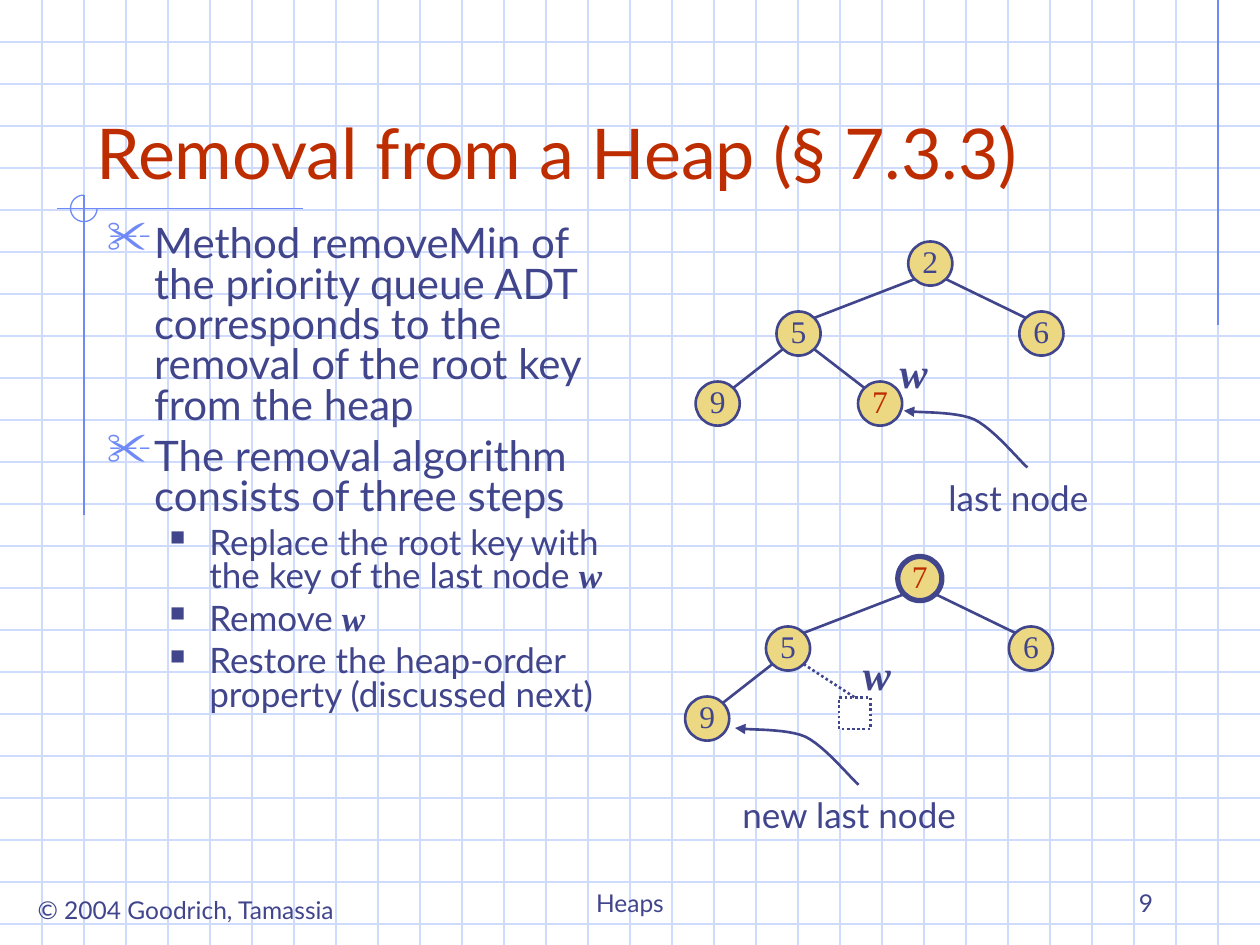
from dataclasses import dataclass

from lxml import etree
from pptx import Presentation
from pptx.dml.color import RGBColor
from pptx.enum.dml import MSO_LINE
from pptx.enum.shapes import MSO_CONNECTOR, MSO_SHAPE
from pptx.enum.text import MSO_ANCHOR, MSO_AUTO_SIZE, PP_ALIGN
from pptx.oxml.ns import qn
from pptx.util import Pt

STRAIGHT = MSO_CONNECTOR.STRAIGHT
LEFT, CENTER, RIGHT = PP_ALIGN.LEFT, PP_ALIGN.CENTER, PP_ALIGN.RIGHT
TOP, MIDDLE, BOTTOM = MSO_ANCHOR.TOP, MSO_ANCHOR.MIDDLE, MSO_ANCHOR.BOTTOM
DOTTED = MSO_LINE.ROUND_DOT
SLIDE_W, SLIDE_H, GRID_STEP = 720, 540, 24
NODE, LEAF_BOX = 25.2, 18
TOP_SIDE = 0


@dataclass(frozen=True)
class Theme:
    ink: str = "40458C"
    accent: str = "BE2D00"
    rule: str = "6F89F7"
    grid: str = "CFDBFD"
    node: str = "ECD882"
    paper: str = "FFFFFF"
    sans: str = "Lato"
    serif: str = "Times New Roman"
    title: int = 40
    body: int = 24
    step: int = 20
    key: int = 18
    footer: int = 14
    thin: float = 0.75
    line: float = 1.5
    bold_line: float = 3


THEME = Theme()


def rgb(code):
    return RGBColor.from_string(code)


def lengths(*values):
    return [Pt(value) for value in values]


def style_font(font, size, color=THEME.ink, name=THEME.sans, strong=False):
    font.size, font.name, font.color.rgb = Pt(size), name, rgb(color)
    if strong:
        font.bold = font.italic = True


def style_line(line, color=THEME.ink, width=THEME.line, dash=None):
    line.color.rgb, line.width = rgb(color), Pt(width)
    if dash:
        line.dash_style = dash


def add_line(shapes, start, end, color=THEME.ink, width=THEME.line, dash=None):
    line = shapes.add_connector(STRAIGHT, *lengths(*start, *end))
    style_line(line.line, color, width, dash)
    etree.SubElement(line.element.spPr, qn("a:effectLst"))
    return line


def add_label(shapes, box, text, size, align=CENTER, anchor=TOP, wrap=False, **font):
    frame = shapes.add_textbox(*lengths(*box)).text_frame
    frame.word_wrap, frame.vertical_anchor = wrap, anchor
    paragraph = frame.paragraphs[0]
    paragraph.text, paragraph.alignment = text, align
    style_font(paragraph.font, size, **font)


def add_backdrop(slide):
    """Graph paper with margin rules, placed behind the title."""
    group = slide.shapes.add_group_shape()
    shapes = group.shapes
    for y in range(GRID_STEP, SLIDE_H, GRID_STEP):
        add_line(shapes, (0, y), (SLIDE_W, y), THEME.grid, THEME.thin)
    for x in range(GRID_STEP, SLIDE_W, GRID_STEP):
        add_line(shapes, (x, 0), (x, SLIDE_H), THEME.grid, THEME.thin)
    for start, end in [((696, 0), (696, 186)), ((173, 119.3), (32.5, 119.3)),
                       ((48, 111.5), (48, 294.5))]:
        add_line(shapes, start, end, THEME.rule, THEME.thin)
    arc = shapes.add_shape(MSO_SHAPE.ARC, *lengths(40.3, 111.5, 15.2, 15.2))
    arc.adjustments[0], arc.adjustments[1] = 0, 162  # 0° to 270°
    arc.fill.background()
    arc.shadow.inherit = False
    style_line(arc.line, THEME.rule, THEME.thin)
    slide.shapes.title.element.addprevious(group.element)


def add_title(title, box, text):
    title.left, title.top, title.width, title.height = lengths(*box)
    frame = title.text_frame
    frame.text, frame.vertical_anchor = text, BOTTOM
    frame.auto_size = MSO_AUTO_SIZE.NONE
    frame.paragraphs[0].alignment = LEFT
    style_font(frame.paragraphs[0].font, THEME.title, THEME.accent)


def add_bullet(paragraph, mark, color, percent, indent, hanging):
    props = paragraph._p.get_or_add_pPr()
    props.set("marL", str(Pt(indent)))
    props.set("indent", str(-Pt(hanging)))
    tint = etree.SubElement(props, qn("a:buClr"))
    etree.SubElement(tint, qn("a:srgbClr"), val=color)
    etree.SubElement(props, qn("a:buSzPct"), val=str(percent * 1000))
    etree.SubElement(props, qn("a:buChar"), char=mark)


def add_outline(shapes, box, items):
    """Items are (level, text, trailing variable)."""
    frame = shapes.add_textbox(*lengths(*box)).text_frame
    frame.word_wrap = True
    levels = [(("✂", THEME.rule, 110, 27, 27), THEME.body, 6),
              (("■", THEME.ink, 60, 58.5, 22.5), THEME.step, 5)]
    for index, (level, text, variable) in enumerate(items):
        paragraph = frame.add_paragraph() if index else frame.paragraphs[0]
        bullet, size, gap = levels[level]
        paragraph.level = level
        paragraph.line_spacing, paragraph.space_before = 0.8, Pt(gap)
        add_bullet(paragraph, *bullet)
        style_font(paragraph.font, size)
        paragraph.add_run().text = text
        if variable:
            run = paragraph.add_run()
            run.text = variable
            style_font(run.font, size, name=THEME.serif, strong=True)


def add_node(shapes, x, y, key, color=THEME.ink, outline=THEME.line):
    node = shapes.add_shape(MSO_SHAPE.OVAL, *lengths(x, y, NODE, NODE))
    node.shadow.inherit = False
    node.fill.solid()
    node.fill.fore_color.rgb = rgb(THEME.node)
    style_line(node.line, width=outline)
    frame = node.text_frame
    frame.word_wrap, frame.vertical_anchor = False, MIDDLE
    frame.margin_left = frame.margin_right = frame.margin_top = 0
    frame.margin_bottom = Pt(3.6)
    paragraph = frame.paragraphs[0]
    paragraph.text, paragraph.alignment = key, CENTER
    style_font(paragraph.font, THEME.key, color, THEME.serif)


def node_corner(spot, right, bottom):
    """Point on a node's rim, on one of its diagonals."""
    near, far = NODE * 0.146, NODE * 0.854
    return spot[0] + (far if right else near), spot[1] + (far if bottom else near)


def add_pointer(shapes, x, y):
    """Curved arrow whose head is at (x, y)."""
    curves = [((70.6, 32.4), (65.5, 28.1), (51.8, 10.8), (40.3, 5)),
              ((40.3, 5), (28.8, 0), (7.9, 1.4), (0, 0))]
    steps = 12
    points = []
    for curve in curves:
        for t in (step / steps for step in range(1, steps + 1)):
            weights = ((1 - t) ** 3, 3 * t * (1 - t) ** 2, 3 * t * t * (1 - t), t ** 3)
            points.append(tuple(Pt(origin + sum(w * p[axis] for w, p in zip(weights, curve)))
                                for axis, origin in enumerate((x, y))))
    builder = shapes.build_freeform(*lengths(x + 70.6, y + 32.4))
    builder.add_line_segments(points, close=False)
    pointer = builder.convert_to_shape()
    pointer.shadow.inherit = False
    pointer.fill.background()
    style_line(pointer.line)
    etree.SubElement(pointer.line._get_or_add_ln(), qn("a:tailEnd"), type="triangle")


def add_heap(shapes, left, top, root, last_removed, variable_at, pointer_at, caption):
    """Heap tree with its last node marked; caption is (x, y, width, text)."""
    root_at, five, six, nine, last = [
        (left + x, top + y)
        for x, y in [(121.5, 0), (46.2, 40), (185, 40), (0, 80), (92.8, 80)]]
    root_style = (THEME.accent, THEME.bold_line) if last_removed else ()
    add_node(shapes, *root_at, root, *root_style)
    for spot, key in [(five, "5"), (six, "6"), (nine, "9")]:
        add_node(shapes, *spot, key)
    for parent, child, rightward in [(root_at, five, False), (root_at, six, True),
                                     (five, nine, False)]:
        add_line(shapes, node_corner(parent, rightward, True),
                 node_corner(child, not rightward, False))
    last_start = node_corner(five, True, True)
    if last_removed:
        gap = shapes.add_shape(MSO_SHAPE.RECTANGLE,
                               *lengths(left + 88, top + 80.6, LEAF_BOX, LEAF_BOX))
        gap.shadow.inherit = False
        gap.fill.solid()
        gap.fill.fore_color.rgb = rgb(THEME.paper)
        style_line(gap.line, dash=DOTTED)
        edge = add_line(shapes, last_start, (left + 97, top + 80.6), dash=DOTTED)
        edge.end_connect(gap, TOP_SIDE)
    else:
        add_node(shapes, *last, "7", THEME.accent)
        add_line(shapes, last_start, node_corner(last, False, False))
    add_label(shapes, (left + variable_at[0], top + variable_at[1], 30, 36), "w",
              THEME.body, name=THEME.serif, strong=True)
    add_pointer(shapes, left + pointer_at[0], top + pointer_at[1])
    x, y, width, text = caption
    add_label(shapes, (left + x, top + y, width, 31.5), text, THEME.step)


def add_footer(shapes):
    add_label(shapes, (8.7, 508, 195, 24.5), "© 2004 Goodrich, Tamassia", THEME.footer)
    for x, width, text, align in [(246, 228, "Heaps", CENTER), (516, 150, "9", RIGHT)]:
        add_label(shapes, (x, 492, width, 36), text, THEME.footer, align, BOTTOM, True)


def main():
    deck = Presentation()
    deck.slide_width, deck.slide_height = lengths(SLIDE_W, SLIDE_H)
    slide = deck.slides.add_slide(deck.slide_layouts[5])
    shapes = slide.shapes
    add_backdrop(slide)
    add_title(shapes.title, (48, 24, 612, 90), "Removal from a Heap (§ 7.3.3)")
    add_footer(shapes)
    add_outline(shapes, (54, 126, 306, 360), [
        (0, "Method removeMin of the priority queue ADT corresponds to the "
            "removal of the root key from the heap", ""),
        (0, "The removal algorithm consists of three steps", ""),
        (1, "Replace the root key with the key of the last node ", "w"),
        (1, "Remove ", "w"),
        (1, "Restore the heap-order property (discussed next)", "")])
    add_heap(shapes, 397.5, 138, "2", False, (109.5, 56.5), (119, 96.7),
             (134, 130.5, 101, "last node"))
    add_heap(shapes, 391.5, 318, "7", True, (94.5, 49), (28.5, 98),
             (21, 132, 145.5, "new last node"))
    deck.save("out.pptx")


if __name__ == "__main__":
    main()
